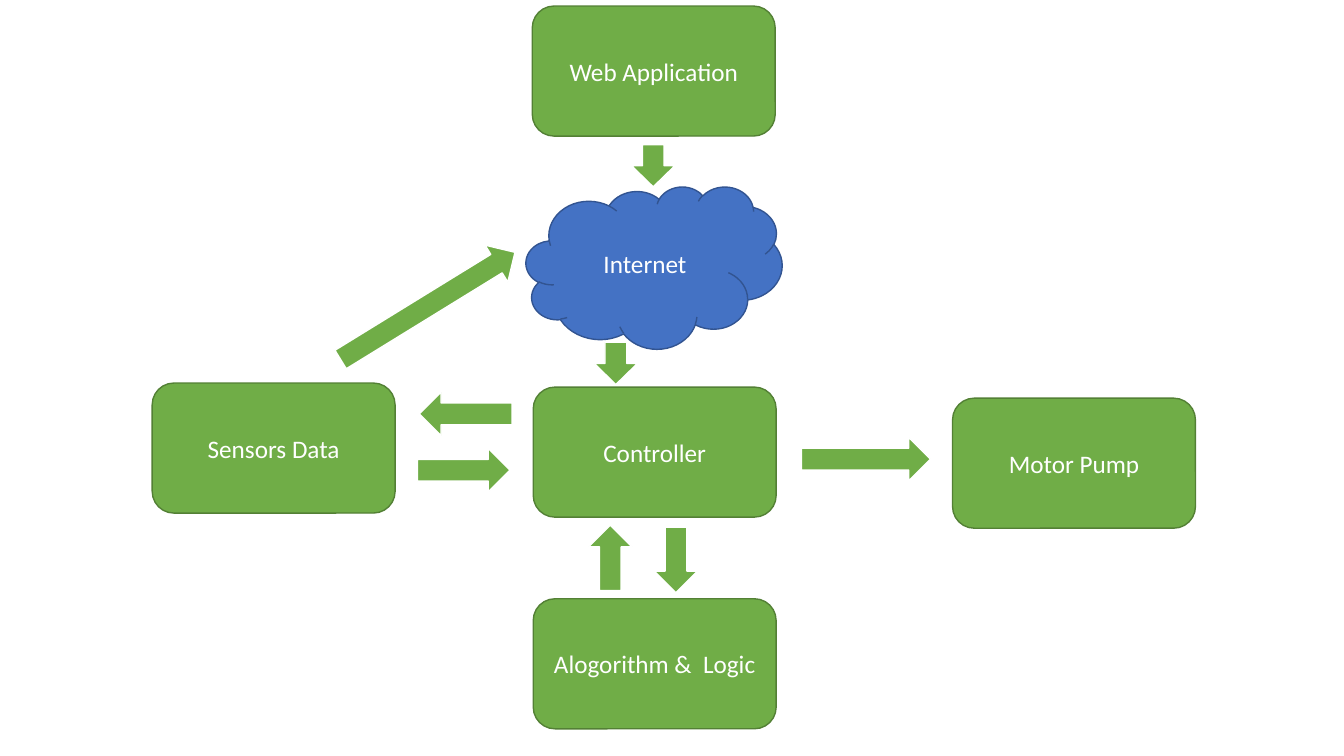
from pptx import Presentation
from pptx.dml.color import RGBColor
from pptx.enum.shapes import MSO_SHAPE as Kind
from pptx.enum.text import MSO_ANCHOR as Anchor, PP_ALIGN as Align
from pptx.util import Pt

GREEN = RGBColor(0x70, 0xAD, 0x47)
MOSS = RGBColor(0x53, 0x80, 0x35)
BLUE = RGBColor(0x44, 0x72, 0xC4)
NAVY = RGBColor(0x32, 0x54, 0x91)
WHITE = RGBColor(0xFF, 0xFF, 0xFF)

BOX_W, BOX_H = 173.5, 92.9
CLOUD_W, CLOUD_H = 182.9, 115.9
ARROW_H = 31
MID = 380.9

# label, left, top
BOXES = [
    ("Web Application", 380.2, 4.3),
    ("Controller", MID, 276.5),
    ("Sensors Data", 108.7, 273.6),
    ("Motor Pump", 680.4, 284.4),
    ("Alogorithm &  Logic", MID, 427.7),
]

# centre x, centre y, length, turn in degrees
ARROWS = [
    (331.2, 335.9, 66.2, 0),     # sensors to controller
    (618.5, 328, 92.2, 0),       # controller to pump
    (305.6, 218.5, 146.2, 328.4),  # sensors to internet
    (436, 398.5, 46.8, 270),     # logic to controller
    (482.8, 400, 46.8, 90),      # controller to logic
    (332.6, 295.6, 66.2, 180),   # controller to sensors
    (466.6, 118.4, 30.2, 90),    # web to internet
    (439.9, 259.6, 30.2, 90),    # internet to controller
]


class Chart:
    """Draws flow chart parts on one slide in one style."""

    font, size = "Calibri", 18

    def __init__(self, slide):
        """Keep the slide to draw on."""
        self.slide = slide

    def shape(self, kind, x, y, w, h, fill, edge):
        """Add a flat shape with a fill and a thin outline."""
        shape = self.slide.shapes.add_shape(kind, Pt(x), Pt(y), Pt(w), Pt(h))
        shape.shadow.inherit = False
        shape.fill.solid()
        shape.fill.fore_color.rgb = fill
        shape.line.color.rgb = edge
        shape.line.width = Pt(1)
        return shape

    def label(self, shape, text):
        """Write centred white text in a shape."""
        frame = shape.text_frame
        frame.word_wrap = True
        frame.vertical_anchor = Anchor.MIDDLE
        para = frame.paragraphs[0]
        para.text = text
        para.alignment = Align.CENTER
        para.font.name = self.font
        para.font.size = Pt(self.size)
        para.font.color.rgb = WHITE

    def box(self, text, x, y):
        """Add a green rounded box."""
        shape = self.shape(Kind.ROUNDED_RECTANGLE, x, y, BOX_W, BOX_H, GREEN, MOSS)
        self.label(shape, text)

    def cloud(self, text, x, y):
        """Add a blue cloud."""
        shape = self.shape(Kind.CLOUD, x, y, CLOUD_W, CLOUD_H, BLUE, NAVY)
        self.label(shape, text)

    def arrow(self, x, y, length, turn):
        """Add a block arrow turned about its centre."""
        shape = self.shape(Kind.RIGHT_ARROW, x - length / 2, y - ARROW_H / 2,
                           length, ARROW_H, GREEN, WHITE)
        shape.rotation = turn


def main():
    """Build and save the slide."""
    deck = Presentation()
    deck.slide_width, deck.slide_height = Pt(960), Pt(540)
    chart = Chart(deck.slides.add_slide(deck.slide_layouts[6]))
    for box in BOXES:
        chart.box(*box)
    chart.cloud("Internet", 375.8, 133.2)
    for arrow in ARROWS:
        chart.arrow(*arrow)
    deck.save("out.pptx")


main()
